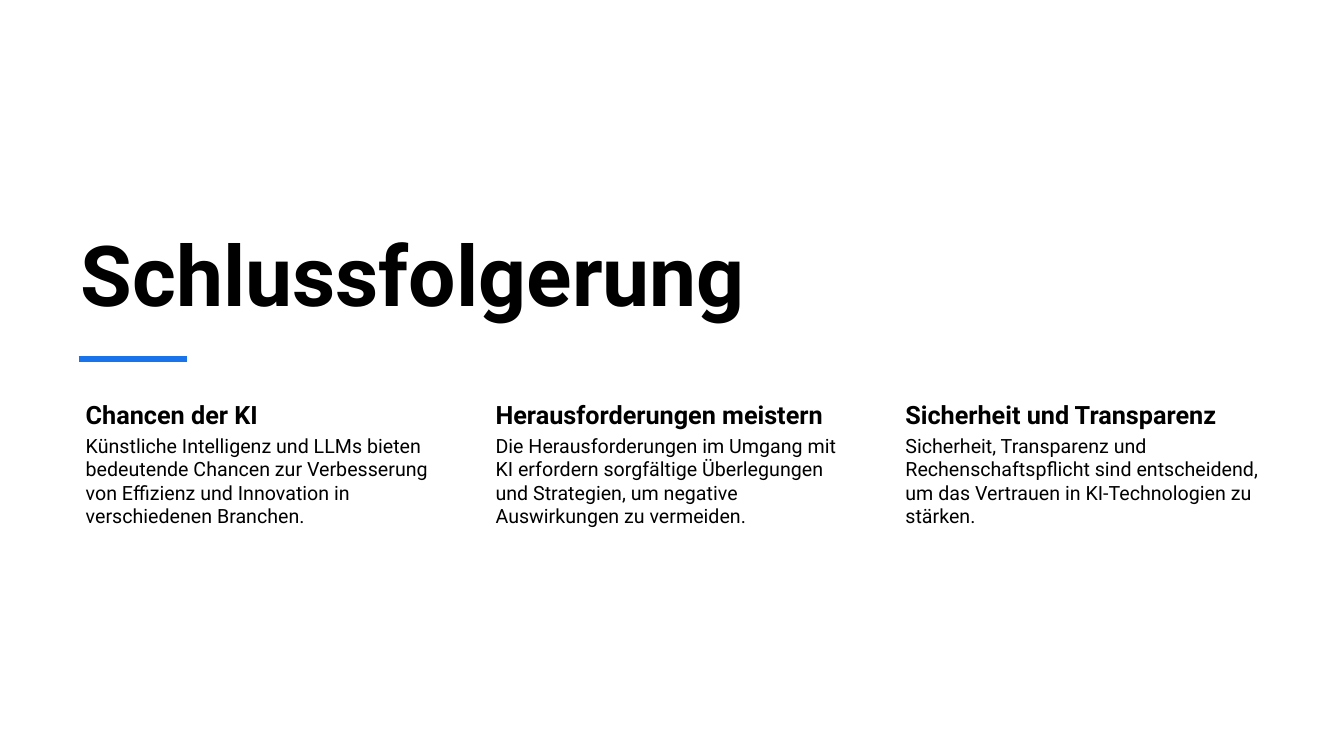
from pptx import Presentation
from pptx.dml.color import RGBColor
from pptx.enum.shapes import MSO_CONNECTOR
from pptx.enum.text import MSO_ANCHOR, PP_ALIGN
from pptx.oxml.ns import qn
from pptx.util import Inches, Pt
from lxml import etree

LINE = MSO_CONNECTOR.STRAIGHT
TOP, BOTTOM = MSO_ANCHOR.TOP, MSO_ANCHOR.BOTTOM
LEFT = PP_ALIGN.LEFT

FACE = "Roboto"
COLORS = {"text": "000000", "rule": "1973EB"}
TITLE = "Schlussfolgerung"
POINTS = [
    ("Chancen der KI",
     "Künstliche Intelligenz und LLMs bieten bedeutende Chancen zur Verbesserung "
     "von Effizienz und Innovation in verschiedenen Branchen."),
    ("Herausforderungen meistern",
     "Die Herausforderungen im Umgang mit KI erfordern sorgfältige Überlegungen "
     "und Strategien, um negative Auswirkungen zu vermeiden."),
    ("Sicherheit und Transparenz",
     "Sicherheit, Transparenz und Rechenschaftspflicht sind entscheidend, um das "
     "Vertrauen in KI-Technologien zu stärken."),
]
X, STEP, WIDTH = 0.7, 4.065, 3.69
ROWS = [
    {"top": 3.93, "high": 0.35, "pad": 0.03, "size": 18, "bold": True},
    {"top": 4.28, "high": 2.34, "pad": 0.02, "size": 14, "bold": False},
]


def color(name):
    return RGBColor.from_string(COLORS[name])


def write(frame, text, size, bold, anchor):
    frame.word_wrap = True
    frame.vertical_anchor = anchor
    para = frame.paragraphs[0]
    para.text = text
    para.alignment = LEFT
    font = para.font
    font.name, font.size, font.bold = FACE, Pt(size), bold
    font.color.rgb = color("text")


def add_text(slide, text, left, row):
    box = slide.shapes.add_textbox(
        Inches(left), Inches(row["top"]), Inches(WIDTH), Inches(row["high"]))
    frame = box.text_frame
    frame.margin_left = Inches(0.15)
    frame.margin_top = frame.margin_right = frame.margin_bottom = Inches(row["pad"])
    write(frame, text, row["size"], row["bold"], TOP)


def main():
    deck = Presentation()
    deck.slide_width, deck.slide_height = Inches(13.33), Inches(7.5)
    slide = deck.slides.add_slide(deck.slide_layouts[5])

    title = slide.shapes.title
    title.left, title.top = Inches(X), Inches(1.72)
    title.width, title.height = Inches(8.93), Inches(1.54)
    write(title.text_frame, TITLE, 60, True, BOTTOM)

    rule = slide.shapes.add_connector(
        LINE, Inches(0.78), Inches(3.56), Inches(1.85), Inches(3.56))
    rule.line.color.rgb = color("rule")
    rule.line.width = Pt(4.5)
    etree.SubElement(rule._element.spPr, qn("a:effectLst"))

    for col, point in enumerate(POINTS):
        for text, row in zip(point, ROWS):
            add_text(slide, text, X + col * STEP, row)

    deck.save("out.pptx")


if __name__ == "__main__":
    main()
